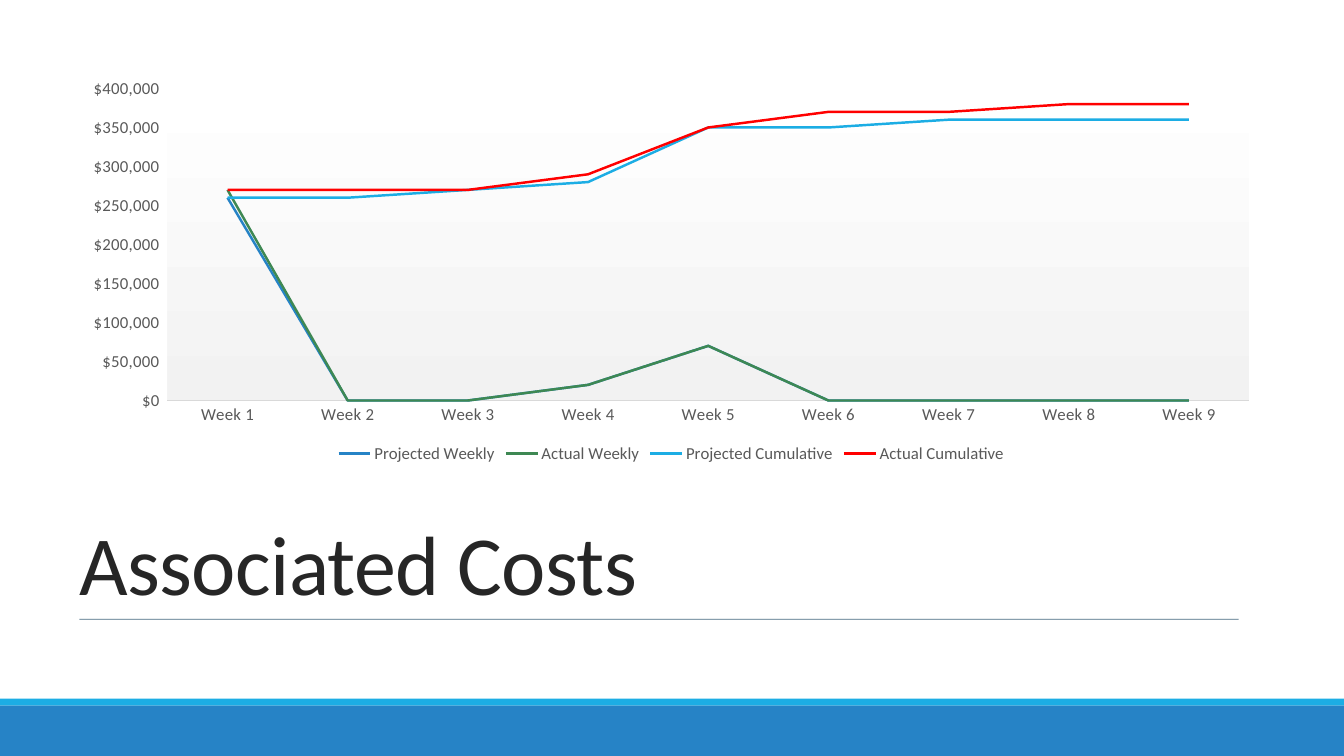
"""Build the Associated Costs slide: a weekly cost chart above its title."""
from lxml.etree import SubElement
from pptx import Presentation
from pptx.chart.data import CategoryChartData
from pptx.dml.color import RGBColor
from pptx.enum.chart import XL_CHART_TYPE, XL_LEGEND_POSITION, XL_TICK_MARK
from pptx.enum.shapes import MSO_CONNECTOR, MSO_SHAPE
from pptx.enum.text import MSO_ANCHOR
from pptx.oxml import parse_xml
from pptx.oxml.ns import nsdecls, qn
from pptx.util import Pt

TITLE = "Associated Costs"
FONT = "Calibri"
WIDTH, HEIGHT = 960, 540
WEEKS = [f"Week {number}" for number in range(1, 10)]
COSTS = [
    ("Projected Weekly", "2683C6", [260000, 0, 0, 20000, 70000, 0, 0, 0, 0]),
    ("Actual Weekly", "3E8853", [270000, 0, 0, 20000, 70000, 0, 0, 0, 0]),
    ("Projected Cumulative", "1CADE4",
     [260000, 260000, 270000, 280000, 350000, 350000, 360000, 360000, 360000]),
    ("Actual Cumulative", "FF0000",
     [270000, 270000, 270000, 290000, 350000, 370000, 370000, 380000, 380000]),
]
CURRENCY = r'"$"#,##0_);[Red]\("$"#,##0\)'
BANDS = [(0, 499, "FFFFFF"), (499, 5, "1CADE4"), (504, 36, "2683C6")]
PLOT_FILL = f"""<c:spPr {nsdecls("c", "a")}><a:gradFill><a:gsLst>
<a:gs pos="0"><a:srgbClr val="FFFFFF"/></a:gs>
<a:gs pos="100000"><a:srgbClr val="F2F2F2"/></a:gs>
</a:gsLst><a:lin ang="5400000" scaled="0"/></a:gradFill><a:ln><a:noFill/></a:ln></c:spPr>"""


def color(value):
    return RGBColor.from_string(value)


def set_font(font, size, value):
    font.name, font.size = FONT, Pt(size)
    font.color.rgb = color(value)


def add_band(slide, top, height, value):
    band = slide.shapes.add_shape(MSO_SHAPE.RECTANGLE, 0, Pt(top), Pt(WIDTH), Pt(height))
    band.shadow.inherit = False
    band.fill.solid()
    band.fill.fore_color.rgb = color(value)
    band.line.fill.background()


def add_title(slide):
    box = slide.shapes.add_textbox(Pt(49.7), Pt(358), Pt(859), Pt(83.5))
    frame = box.text_frame
    frame.word_wrap = True
    frame.vertical_anchor = MSO_ANCHOR.BOTTOM
    paragraph = frame.paragraphs[0]
    paragraph.line_spacing = 0.85
    run = paragraph.add_run()
    run.text = TITLE
    set_font(paragraph.font, 60, "262626")
    run._r.get_or_add_rPr().set("spc", "-45")


def add_rule(slide):
    rule = slide.shapes.add_connector(
        MSO_CONNECTOR.STRAIGHT, Pt(56.7), Pt(442.3), Pt(884.7), Pt(442.3))
    rule.line.width = Pt(0.5)
    rule.line.color.rgb = color("335B74")
    properties = rule._element.spPr
    SubElement(next(properties.iter(qn("a:srgbClr"))), qn("a:alpha")).set("val", "90000")
    SubElement(properties, qn("a:effectLst"))


def add_cost_chart(slide):
    data = CategoryChartData(number_format=CURRENCY)
    data.categories = WEEKS
    for name, _, values in COSTS:
        data.add_series(name, values)
    chart = slide.shapes.add_chart(
        XL_CHART_TYPE.LINE, Pt(49.7), Pt(50.4), Pt(859.7), Pt(283.7), data).chart
    set_font(chart.font, 10, "000000")
    chart.has_title = False
    chart.has_legend = True
    chart.legend.position = XL_LEGEND_POSITION.BOTTOM
    chart.legend.include_in_layout = False
    set_font(chart.legend.font, 12, "595959")

    for axis in (chart.category_axis, chart.value_axis):
        axis.major_tick_mark = axis.minor_tick_mark = XL_TICK_MARK.NONE
        axis.has_major_gridlines = False
        set_font(axis.tick_labels.font, 12, "595959")
        next(axis._element.iter(qn("a:defRPr"))).set("spc", "20")
    chart.category_axis.format.line.color.rgb = color("D9D9D9")
    chart.category_axis.format.line.width = Pt(0.75)
    axis = chart.value_axis
    axis.format.line.fill.background()
    axis.minimum_scale, axis.maximum_scale, axis.major_unit = 0, 400000, 50000
    axis.tick_labels.number_format = CURRENCY
    axis.tick_labels.number_format_is_linked = False

    plot = chart.plots[0]
    plot.vary_by_categories = False
    for series, (_, value, _) in zip(plot.series, COSTS):
        series.smooth = False
        series.format.line.color.rgb = color(value)
        series.format.line.width = Pt(1.75)
    chart._chartSpace.chart.plotArea.append(parse_xml(PLOT_FILL))


def main():
    presentation = Presentation()
    presentation.slide_width, presentation.slide_height = Pt(WIDTH), Pt(HEIGHT)
    slide = presentation.slides.add_slide(presentation.slide_layouts[6])
    for band in BANDS:
        add_band(slide, *band)
    add_title(slide)
    add_rule(slide)
    add_cost_chart(slide)
    presentation.save("out.pptx")


if __name__ == "__main__":
    main()
